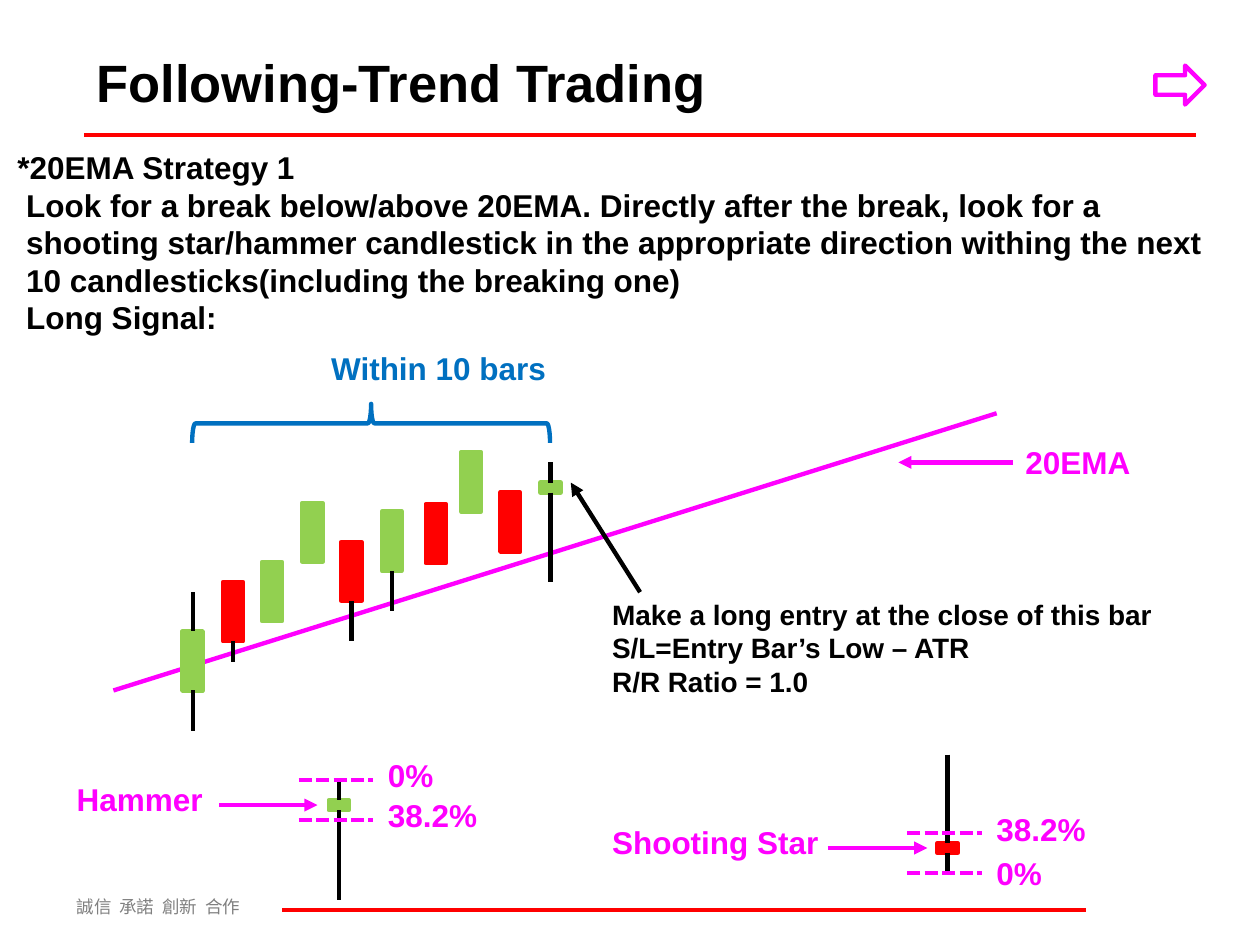
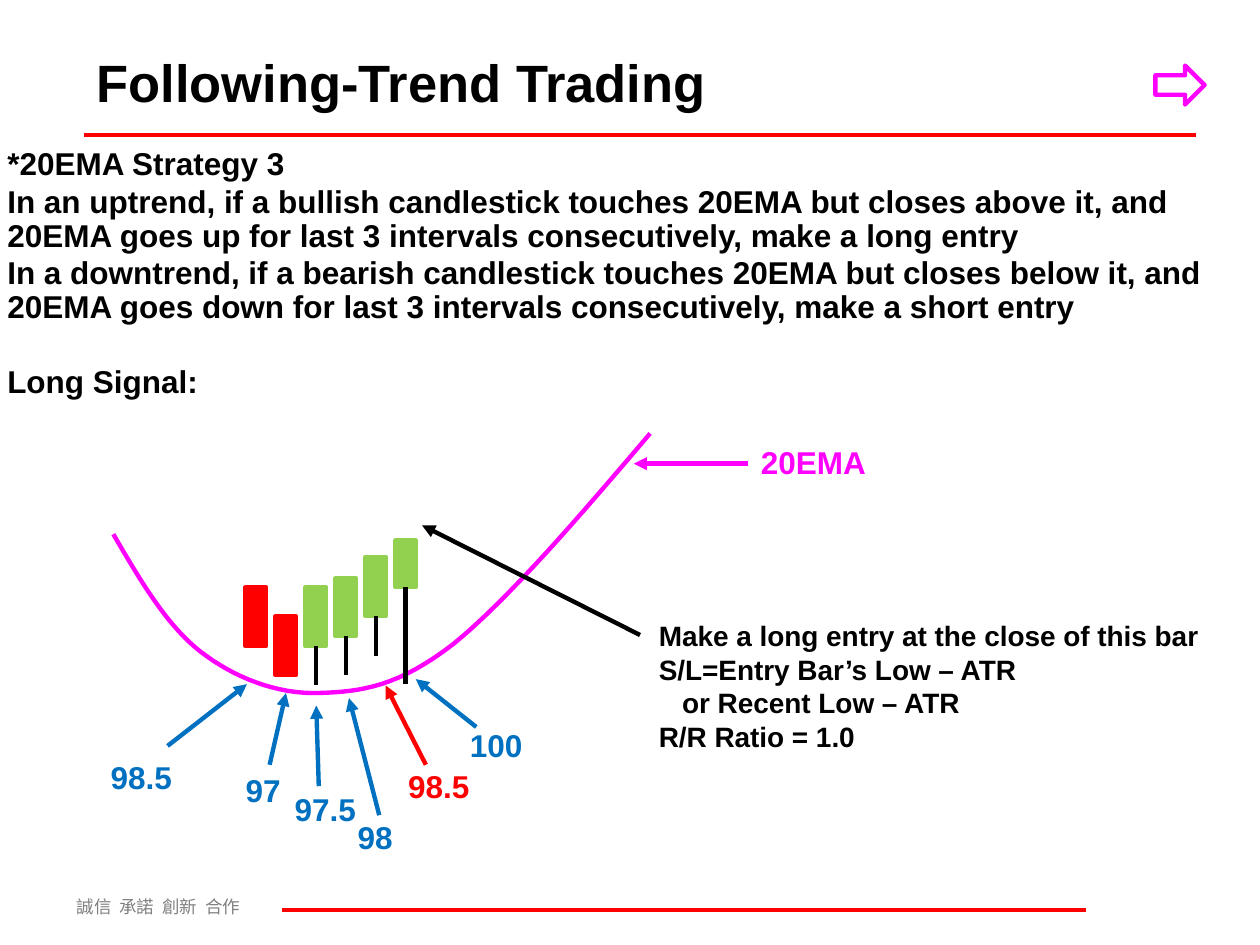
from dataclasses import dataclass
from lxml.etree import SubElement
from pptx import Presentation
from pptx.dml.color import RGBColor
from pptx.enum.dml import MSO_LINE
from pptx.enum.shapes import MSO_CONNECTOR, MSO_SHAPE
from pptx.enum.text import MSO_ANCHOR
from pptx.oxml.ns import qn
from pptx.util import Inches, Pt


@dataclass(frozen=True)
class Theme:
    ink: str = "000000"
    red: str = "FF0000"
    green: str = "92D050"
    pink: str = "FF00FF"
    blue: str = "0070C0"
    grey: str = "808080"
    font: str = "Arial"
    cjk: str = "Noto Sans CJK SC"
    title: int = 30
    body: int = 18
    note: int = 16
    foot: int = 10
    rule: float = 2.25
    line: float = 2.5


T = Theme()
COLS, ROWS = 100, 75
CELL = Inches(10) // COLS
MOTTO = ("誠信", "承諾", "創新", "合作")
ENTRY = "Make a long entry at the close of this bar S/L=Entry Bar’s Low – ATR"
RATIO = "R/R Ratio = 1.0"


def grid(*cells):
    return [round(c * CELL) for c in cells]


def style(item, **values):
    for name, value in values.items():
        setattr(item, name, value)


def ink(part, color):
    part.solid()
    part.fore_color.rgb = RGBColor.from_string(color)


def stroke(shape, color, width=T.line):
    ink(shape.line.fill, color)
    shape.line.width = Pt(width)


def text(slide, box, rows, color=T.ink, size=T.body, bold=True, font=T.font,
         anchor=MSO_ANCHOR.TOP, gap=0, lead=None, tabs=()):
    frame = slide.shapes.add_textbox(*grid(*box)).text_frame
    style(frame, word_wrap=True, vertical_anchor=anchor)
    for i, row in enumerate(rows):
        words, indent, extra = row if isinstance(row, tuple) else (row, 0, 0)
        para = frame.paragraphs[0] if i == 0 else frame.add_paragraph()
        style(para, line_spacing=lead, space_before=Pt(gap + extra if i else 0))
        props = para._p.get_or_add_pPr()
        props.set("marL", str(Pt(indent)))
        if tabs:
            stops = SubElement(props, qn("a:tabLst"))
            for stop in grid(*tabs):
                SubElement(stops, qn("a:tab"), pos=str(stop), algn="l")
        run = para.add_run()
        style(run, text=words)
        style(run.font, size=Pt(size), bold=bold, name=font)
        ink(run.font.fill, color)
        SubElement(run._r.get_or_add_rPr(), qn("a:ea"), typeface=font)


def label(slide, left, top, words, color=T.pink, width=15.8):
    text(slide, (left, top, width, 4), [words], color)


def line(slide, ends, color=T.ink, width=T.line, arrow=False, dash=None):
    link = slide.shapes.add_connector(MSO_CONNECTOR.STRAIGHT, *grid(*ends))
    stroke(link, color, width)
    if dash:
        link.line.dash_style = dash
    if arrow:
        SubElement(link.line._get_or_add_ln(), qn("a:tailEnd"), type="triangle")
    SubElement(link._element.spPr, qn("a:effectLst"))


def arrow(slide, *ends, color=T.pink):
    line(slide, ends, color, arrow=True)


def shape(slide, kind, box, color, fill=None):
    item = slide.shapes.add_shape(kind, *grid(*box))
    item.shadow.inherit = False
    stroke(item, color)
    if fill:
        ink(item.fill, fill)
    else:
        item.fill.background()
    return item


def candle(slide, left, top, tall, color, high=None, low=None):
    shape(slide, MSO_SHAPE.RECTANGLE, (left, top, 1.6, tall), color, color)
    mid = left + 0.8
    if low:
        line(slide, (mid, top + tall, mid, low))
    if high:
        line(slide, (mid, high, mid, top))


def levels(slide, left, marks):
    for row, top, words in marks:
        line(slide, (left, row, left + 5.9, row), T.pink, dash=MSO_LINE.SQUARE_DOT)
        label(slide, left + 6.1, top, words)


def curve(slide, start, bends, color, steps=16):
    dots, here = [], start
    for one, two, end in bends:
        for n in range(1, steps + 1):
            t = n / steps
            u = 1 - t
            dots.append(tuple(grid(*(
                u**3 * a + 3 * u * u * t * b + 3 * u * t * t * c + t**3 * d
                for a, b, c, d in zip(here, one, two, end)))))
        here = end
    pen = slide.shapes.build_freeform(*grid(*start))
    pen.add_line_segments(dots, close=False)
    item = pen.convert_to_shape()
    item.shadow.inherit = False
    item.fill.background()
    stroke(item, color)


def page(deck, box, rows):
    slide = deck.slides.add_slide(deck.slide_layouts[6])
    text(slide, (5.1, 70.6, 25.2, 2.7), ["\t".join(MOTTO)], T.grey, T.foot,
         False, T.cjk, tabs=[3.4 * n for n in range(1, len(MOTTO))])
    for ends in ((6.7, 10.7, 94.9, 10.7), (22.4, 72.2, 86.2, 72.2)):
        line(slide, ends, T.red, T.rule)
    text(slide, box, rows, anchor=MSO_ANCHOR.MIDDLE, gap=2, lead=0.9)
    text(slide, (6.7, 3, 90.6, 6.9), ["Following-Trend Trading"], size=T.title,
         anchor=MSO_ANCHOR.MIDDLE)
    shape(slide, MSO_SHAPE.RIGHT_ARROW, (91.7, 5.2, 3.9, 3.1), T.pink)
    return slide


def breakout(deck):
    slide = page(deck, (0.4, 13.1, 98.8, 12.6), ["*20EMA Strategy 1"] + [
        (words, 5, 0) for words in (
            "Look for a break below/above 20EMA. Directly after the break, look for a",
            "shooting star/hammer candlestick in the appropriate direction withing the next",
            "10 candlesticks(including the breaking one)",
            "Long Signal:")])
    line(slide, (9, 54.8, 79.1, 32.8), T.pink)
    label(slide, 80.4, 34.7, "20EMA")
    arrow(slide, 80.4, 36.7, 71.3, 36.7)
    for bar in (
        (14.5, 50.1, 4.7, T.green, 47, 58),
        (17.7, 46.2, 4.7, T.red, None, 52.5),
        (20.8, 44.6, 4.7, T.green),
        (24, 39.9, 4.7, T.green),
        (27.1, 43, 4.7, T.red, None, 50.9),
        (30.3, 40.6, 4.7, T.green, None, 48.5),
        (33.8, 40, 4.7, T.red),
        (36.6, 35.9, 4.7, T.green),
        (39.7, 39.1, 4.7, T.red),
        (42.9, 38.3, 0.8, T.green, 36.7, 46.2),
        (26.1, 63.5, 0.8, T.green, 61.9, 71.4),
        (74.4, 66.9, 0.8, T.red, 59.9, 69.3),
    ):
        candle(slide, *bar)
    brace = shape(slide, MSO_SHAPE.LEFT_BRACE, (27.9, 19.4, 3.1, 28.4), T.blue)
    brace.rotation = 90
    label(slide, 25.3, 27.2, "Within 10 bars", T.blue, 22.4)
    text(slide, (47.6, 46.9, 46.5, 9), [ENTRY, RATIO], size=T.note)
    arrow(slide, 50.8, 47, 45.3, 38.3, color=T.ink)
    levels(slide, 23.7, [(61.9, 59.5, "0%"), (65.1, 62.7, "38.2%")])
    label(slide, 5.1, 61.4, "Hammer")
    arrow(slide, 17.4, 63.9, 25.2, 63.9)
    levels(slide, 72, [(66.1, 63.8, "38.2%"), (69.3, 67.3, "0%")])
    label(slide, 47.6, 64.8, "Shooting Star", width=21.6)
    arrow(slide, 65.7, 67.3, 73.6, 67.3)


def touch(deck):
    slide = page(deck, (-0.4, 15.5, 101.4, 12.6), [
        "*20EMA Strategy 3",
        "In an uptrend, if a bullish candlestick touches 20EMA but closes above it, and "
        "20EMA goes up for last 3 intervals consecutively, make a long entry",
        "In a downtrend, if a bearish candlestick touches 20EMA but closes below it, and "
        "20EMA goes down for last 3 intervals consecutively, make a short entry",
        ("Long Signal:", 0, 21.4)])
    curve(slide, (9, 42.4), (
        ((11.1, 46), (13.2, 49.6), (15.9, 51.7)),
        ((18.6, 53.8), (22, 55.1), (25.3, 55)),
        ((28.7, 54.9), (31.6, 54.5), (36, 51.1)),
        ((40.3, 47.6), (46, 41), (51.6, 34.4)),
    ), T.pink)
    label(slide, 59.4, 34.7, "20EMA")
    arrow(slide, 59.4, 36.8, 50.3, 36.8)
    for i, bar in enumerate((
        (46.6, 4.7, T.red),
        (48.9, 4.7, T.red),
        (46.6, 4.7, T.green, None, 54.4),
        (45.9, 4.6, T.green, None, 53.6),
        (44.2, 4.7, T.green, None, 52.1),
        (42.9, 3.7, T.green, None, 54.3),
    )):
        candle(slide, 19.5 + 2.38 * i, *bar)
    for left, top, words, ends, color in (
        (7.8, 59.7, "98.5", (13.3, 59.2, 19.6, 54.3), T.blue),
        (18.5, 60.7, "97", (21.4, 60.7, 22.7, 55), T.blue),
        (22.4, 62.2, "97.5", (25.3, 62.4, 25.1, 56), T.blue),
        (27.4, 64.4, "98", (30.1, 64.7, 27.7, 55.4), T.blue),
        (31.4, 60.4, "98.5", (33.8, 60.7, 30.6, 54.4), T.red),
        (36.3, 57.1, "100", (37.8, 57.7, 33, 53.9), T.blue),
    ):
        label(slide, left, top, words, color, 8.2)
        arrow(slide, *ends, color=color)
    arrow(slide, 50.8, 50.4, 33.5, 41.7, color=T.ink)
    text(slide, (51.3, 48.6, 46.5, 11.7),
         [ENTRY, ("or Recent Low – ATR", 13.3, 0), RATIO], size=T.note)


def main():
    deck = Presentation()
    style(deck, slide_width=COLS * CELL, slide_height=ROWS * CELL)
    breakout(deck)
    touch(deck)
    deck.save("out.pptx")


if __name__ == "__main__":
    main()
